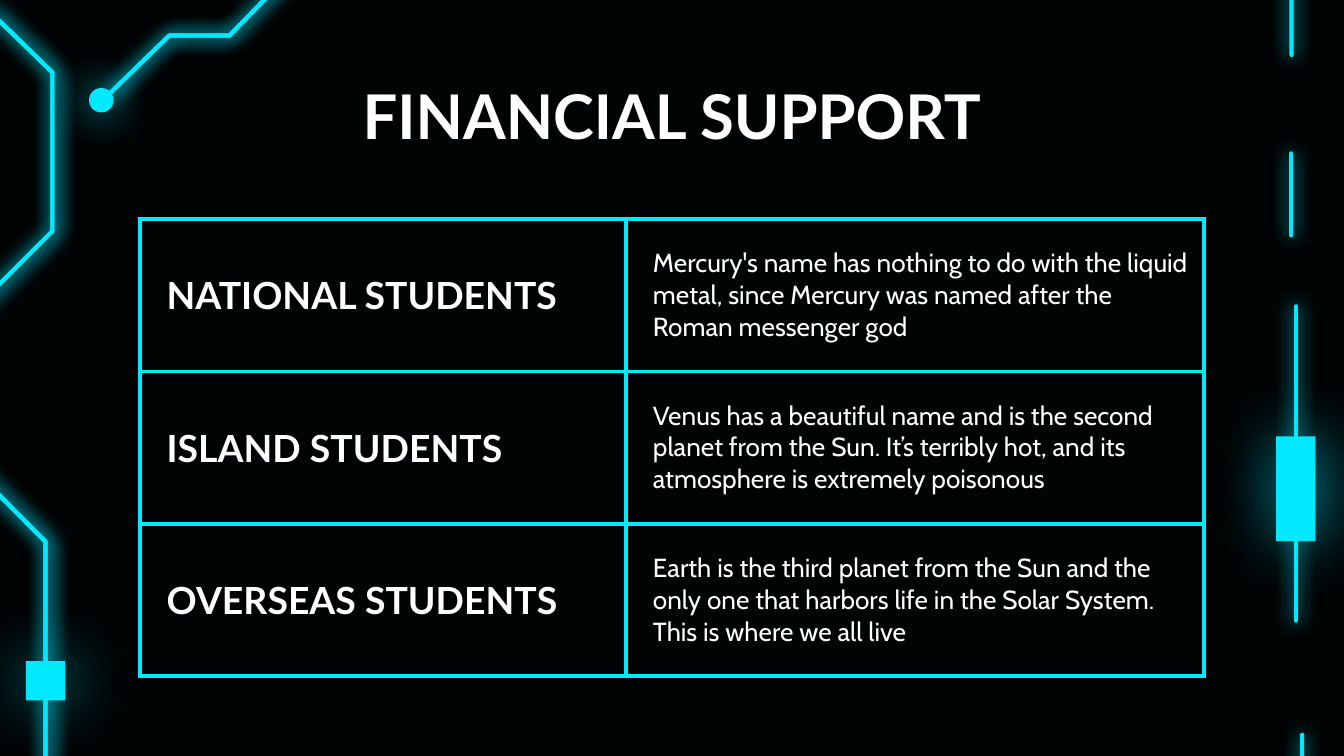
from lxml import etree
from pptx import Presentation
from pptx.dml.color import RGBColor
from pptx.enum.shapes import MSO_CONNECTOR, MSO_SHAPE
from pptx.enum.text import MSO_ANCHOR, PP_ALIGN
from pptx.oxml import parse_xml
from pptx.oxml.ns import nsdecls
from pptx.util import Cm, Pt

STRAIGHT = MSO_CONNECTOR.STRAIGHT
RECTANGLE, OVAL = MSO_SHAPE.RECTANGLE, MSO_SHAPE.OVAL
MIDDLE, CENTER, LEFT = MSO_ANCHOR.MIDDLE, PP_ALIGN.CENTER, PP_ALIGN.LEFT

WIDTH, HEIGHT = 25.4, 14.29
BLACK, WHITE, CYAN = "000304", "FFFFFF", "00E9FF"
LINE_WIDTH = 2.25
HEADING_FONT, BODY_FONT = "Lato", "Cabin"

TITLE = "FINANCIAL SUPPORT"
ROWS = [
    ("NATIONAL STUDENTS",
     "Mercury's name has nothing to do with the liquid metal, since Mercury "
     "was named after the Roman messenger god"),
    ("ISLAND STUDENTS",
     "Venus has a beautiful name and is the second planet from the Sun. "
     "It’s terribly hot, and its atmosphere is extremely poisonous"),
    ("OVERSEAS STUDENTS",
     "Earth is the third planet from the Sun and the only one that harbors "
     "life in the Solar System. This is where we all live"),
]
TABLE_LEFT, TABLE_TOP, ROW_HEIGHT = 2.64, 4.14, 2.88
COLUMN_WIDTHS = (9.19, 10.92)
COLUMN_STYLES = ((HEADING_FONT, 20, True), (BODY_FONT, 14, False))

# Circuit traces in centimetres, bleeding past the slide edges;
# each is drawn once per glow offset (points)
SINGLE_GLOW, DOUBLE_GLOW = (0,), (1.5, 0)
TRACES = [
    (SINGLE_GLOW, [
        (24.41, 1.04), (24.41, -0.51), (25.32, -1.45), (25.32, -2.69),
        (24.26, -3.78), (24.26, -5.46), (26.7, -5.46), (27.53, -4.62),
        (30, -4.62), (30.81, -5.44), (34.09, -5.44), (34.09, 8.36),
        (33.3, 9.12), (33.3, 12.19), (34.06, 12.93), (34.06, 17.15)]),
    (SINGLE_GLOW, [
        (25.65, 27.97), (24.46, 26.77), (24.46, 21.18), (25.48, 20.19),
        (25.48, 18.16), (24.61, 17.32), (24.61, 13.89)]),
    (DOUBLE_GLOW, [
        (-8.86, 7.09), (-8.86, 8.66), (-7.9, 9.63), (-7.9, 12.24),
        (-8.86, 13.21), (-8.86, 31.34), (-2.64, 31.34), (0.86, 27.91),
        (0.86, 10.24), (-0.61, 8.76), (-0.61, 5.97), (0.99, 4.37),
        (0.99, 1.37), (-0.13, 0.28), (-1.14, 0.28), (-1.75, 0.89),
        (-3.05, 0.89), (-3.76, 0.18), (-4.62, 0.18)]),
    (DOUBLE_GLOW, [
        (6.91, -3.15), (5.28, -1.55), (5.44, -0.46), (4.34, 0.67),
        (3.2, 0.67), (2.06, 1.78)]),
]
DASHES = [(24.4, 2.9, 4.45), (24.49, 5.79, 11.73)]  # x, top, bottom
NODES = [  # preset, left, top, width, height, glow opacity, blur, offset
    (RECTANGLE, 24.12, 8.25, 0.74, 1.98, 70, 36, 1.5),
    (RECTANGLE, 0.49, 12.5, 0.74, 0.74, 70, 36, 1.5),
    (OVAL, 1.71, 1.69, 0.41, 0.41, 100, 22.5, 0),
]


def color(hex_string):
    return RGBColor.from_string(hex_string)


def add_glow(shape, opacity=100, blur=10.1, offset=0):
    """Give the shape a soft cyan shadow; call after fill and line are set."""
    shape.element.spPr.append(parse_xml(
        f'<a:effectLst {nsdecls("a")}><a:outerShdw blurRad="{Pt(blur)}" '
        f'dist="{Pt(offset)}" dir="0" algn="bl" rotWithShape="0">'
        f'<a:srgbClr val="{CYAN}"><a:alpha val="{opacity * 1000}"/>'
        '</a:srgbClr></a:outerShdw></a:effectLst>'))


def style_trace(shape, offset=0):
    shape.line.color.rgb = color(CYAN)
    shape.line.width = Pt(LINE_WIDTH)
    shape.line._get_or_add_ln().set("cap", "rnd")
    add_glow(shape, offset=offset)


def add_decoration(shapes):
    for offsets, points in TRACES:
        corners = [(Cm(x), Cm(y)) for x, y in points]
        for offset in offsets:
            builder = shapes.build_freeform(*corners[0])
            builder.add_line_segments(corners[1:], close=False)
            trace = builder.convert_to_shape()
            trace.fill.background()
            style_trace(trace, offset)
    for x, top, bottom in DASHES:
        style_trace(shapes.add_connector(
            STRAIGHT, Cm(x), Cm(top), Cm(x), Cm(bottom)))
    for preset, left, top, width, height, *glow in NODES:
        node = shapes.add_shape(
            preset, Cm(left), Cm(top), Cm(width), Cm(height))
        node.fill.solid()
        node.fill.fore_color.rgb = color(CYAN)
        if preset == OVAL:
            node.line.color.rgb = color(CYAN)
            node.line.width = Pt(1.5)
        else:
            node.line.fill.background()
        add_glow(node, *glow)


def write(frame, text, font_name, size, bold, alignment=LEFT):
    frame.word_wrap = True
    paragraph = frame.paragraphs[0]
    paragraph.alignment = alignment
    run = paragraph.add_run()
    run.text = text
    run.font.name = font_name
    run.font.size = Pt(size)
    run.font.bold = bold
    run.font.color.rgb = color(WHITE)


def add_borders(cell):
    properties = cell._tc.get_or_add_tcPr()
    for index, side in enumerate(("lnL", "lnR", "lnT", "lnB")):
        border = parse_xml(
            f'<a:{side} {nsdecls("a")} w="{Pt(LINE_WIDTH)}"><a:solidFill>'
            f'<a:srgbClr val="{CYAN}"/></a:solidFill></a:{side}>')
        etree.SubElement(border, border[0].tag.replace("solidFill", "prstDash"),
                         val="solid")
        properties.insert(index, border)


def add_support_table(shapes):
    table = shapes.add_table(
        len(ROWS), len(COLUMN_WIDTHS), Cm(TABLE_LEFT), Cm(TABLE_TOP),
        Cm(sum(COLUMN_WIDTHS)), Cm(ROW_HEIGHT * len(ROWS))).table
    table.first_row = table.horz_banding = False
    for column, width in zip(table.columns, COLUMN_WIDTHS):
        column.width = Cm(width)
    for row, texts in zip(table.rows, ROWS):
        row.height = Cm(ROW_HEIGHT)
        for cell, text, style in zip(row.cells, texts, COLUMN_STYLES):
            cell.fill.background()
            cell.vertical_anchor = MIDDLE
            cell.margin_left = Cm(0.51)
            cell.margin_right = cell.margin_top = cell.margin_bottom = Cm(0.25)
            write(cell.text_frame, text, *style)
            add_borders(cell)


def add_title(shapes):
    frame = shapes.add_textbox(
        Cm(1.98), Cm(1.51), Cm(21.44), Cm(1.32)).text_frame
    frame.vertical_anchor = MIDDLE
    frame.margin_top = frame.margin_bottom = Cm(0.25)
    write(frame, TITLE, HEADING_FONT, 33, True, CENTER)


def main():
    presentation = Presentation()
    presentation.slide_width, presentation.slide_height = Cm(WIDTH), Cm(HEIGHT)
    slide = presentation.slides.add_slide(presentation.slide_layouts[6])
    slide.background.fill.solid()
    slide.background.fill.fore_color.rgb = color(BLACK)
    add_decoration(slide.shapes)
    add_title(slide.shapes)
    add_support_table(slide.shapes)
    presentation.save("out.pptx")


if __name__ == "__main__":
    main()
